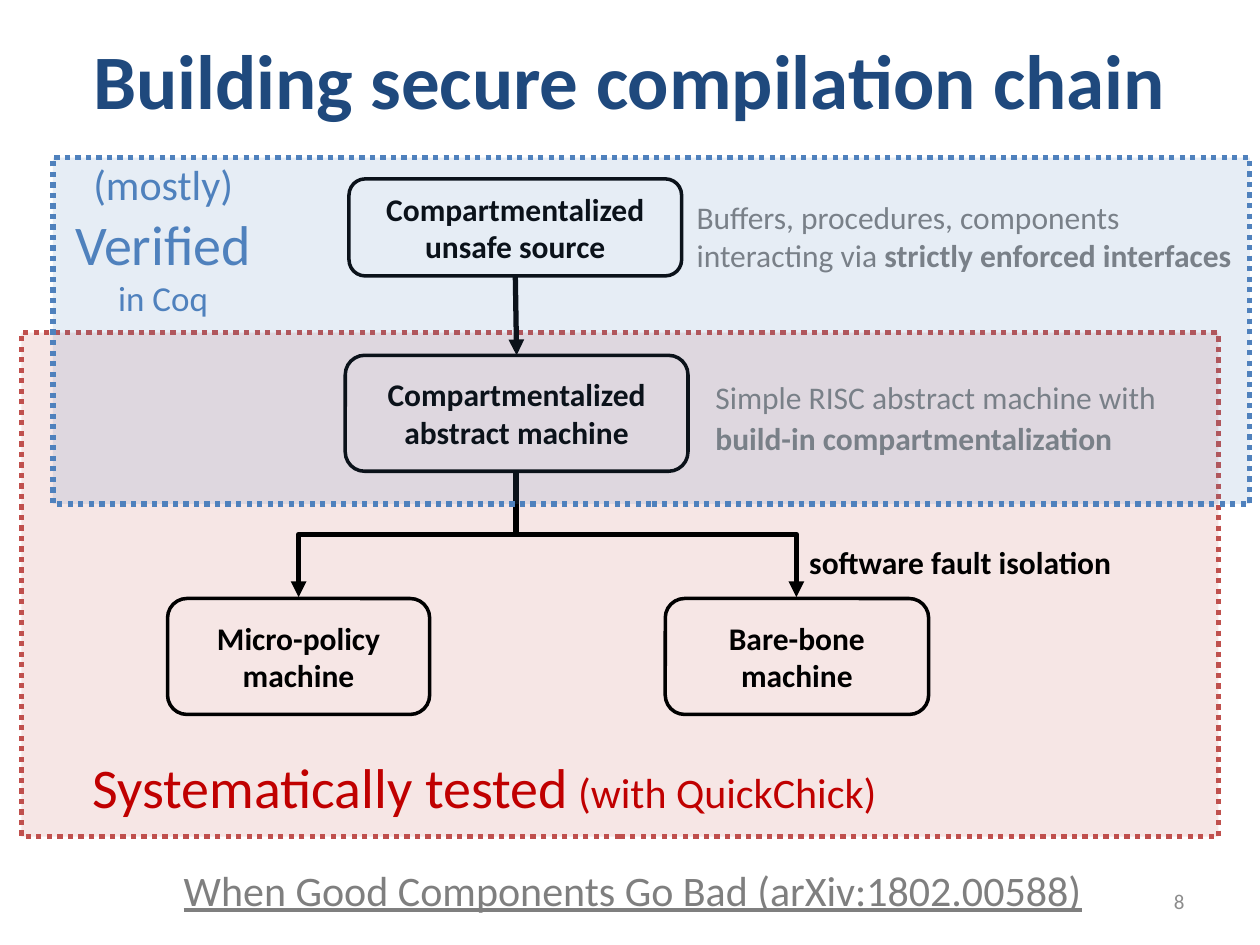
from dataclasses import dataclass

from lxml.etree import SubElement
from pptx import Presentation
from pptx.dml.color import RGBColor
from pptx.enum.dml import MSO_LINE
from pptx.enum.shapes import MSO_CONNECTOR, MSO_SHAPE
from pptx.enum.text import MSO_ANCHOR, PP_ALIGN
from pptx.oxml.ns import qn
from pptx.util import Pt

PX = 9144  # EMU per px, 100 px to the inch


@dataclass(frozen=True)
class Theme:
    font: str = "Calibri"
    black: str = "000000"
    blue: str = "4F81BD"
    red: str = "C0504D"
    navy: str = "1F497D"
    crimson: str = "C00000"
    gray: str = "808080"
    cite: str = "7F7F7F"
    pale: str = "8C8C8C"
    title: int = 44
    big: int = 32
    mid: int = 24
    sub: int = 20
    body: int = 18
    tiny: int = 12
    thin: int = 2
    thick: int = 3
    alpha: int = 14


T = Theme()
LEFT, CENTER, RIGHT = PP_ALIGN.LEFT, PP_ALIGN.CENTER, PP_ALIGN.RIGHT


@dataclass(frozen=True)
class Run:
    text: str
    size: int = T.body
    color: str = T.black
    bold: bool = False
    under: bool = False


@dataclass(frozen=True)
class Rect:
    x: int
    y: int
    w: int
    h: int

    @property
    def top(self) -> tuple[int, int]:
        return self.x + self.w // 2, self.y

    @property
    def base(self) -> tuple[int, int]:
        return self.x + self.w // 2, self.y + self.h

    def emu(self) -> tuple[int, ...]:
        return tuple(v * PX for v in (self.x, self.y, self.w, self.h))


@dataclass(frozen=True)
class Box:
    rect: Rect
    lines: tuple[str, ...]


@dataclass(frozen=True)
class Note:
    rect: Rect
    paras: tuple[tuple[Run, ...], ...]
    align: PP_ALIGN = LEFT
    wrap: bool = True
    middle: bool = False
    space: float = 1.0


def rgb(code: str) -> RGBColor:
    return RGBColor.from_string(code)


def write(frame, paras, align, space=1.0) -> None:
    for i, runs in enumerate(paras):
        para = frame.paragraphs[0] if i == 0 else frame.add_paragraph()
        para.alignment = align
        para.line_spacing = space
        for item in runs:
            run = para.add_run()
            run.text = item.text
            font = run.font
            font.name, font.size = T.font, Pt(item.size)
            font.bold, font.underline = item.bold, item.under
            font.color.rgb = rgb(item.color)


def zone(slide, rect: Rect, color: str) -> None:
    shape = slide.shapes.add_shape(MSO_SHAPE.RECTANGLE, *rect.emu())
    shape.shadow.inherit = False
    shape.fill.solid()
    shape.fill.fore_color.rgb = rgb(color)
    tint = shape.fill._xPr.find(qn("a:solidFill"))[0]
    SubElement(tint, qn("a:alpha"), val=str(T.alpha * 1000))
    shape.line.color.rgb = rgb(color)
    shape.line.width = Pt(T.thick)
    shape.line.dash_style = MSO_LINE.ROUND_DOT


def node(slide, box: Box) -> None:
    shape = slide.shapes.add_shape(MSO_SHAPE.ROUNDED_RECTANGLE, *box.rect.emu())
    shape.shadow.inherit = False
    shape.fill.background()
    shape.line.color.rgb = rgb(T.black)
    shape.line.width = Pt(T.thin)
    shape.text_frame.vertical_anchor = MSO_ANCHOR.MIDDLE
    write(shape.text_frame, [(Run(s, bold=True),) for s in box.lines], CENTER)


def label(slide, note: Note) -> None:
    frame = slide.shapes.add_textbox(*note.rect.emu()).text_frame
    frame.word_wrap = note.wrap
    frame.vertical_anchor = MSO_ANCHOR.MIDDLE if note.middle else MSO_ANCHOR.TOP
    write(frame, note.paras, note.align, note.space)


def arrow(slide, kind, start: tuple[int, int], end: tuple[int, int]):
    ends = [v * PX for v in (*start, *end)]
    line = slide.shapes.add_connector(kind, *ends)
    line.line.color.rgb = rgb(T.black)
    line.line.width = Pt(T.thick)
    SubElement(line.line._get_or_add_ln(), qn("a:tailEnd"), type="triangle")
    SubElement(line._element.spPr, qn("a:effectLst"))
    return line


def branch(slide, start: tuple[int, int], end: tuple[int, int]) -> None:
    # An elbow runs sideways first, so lay it flat and turn it to run down
    (ax, ay), (bx, by) = start, end
    cx, cy = (ax + bx) // 2, (ay + by) // 2
    half, rise = (by - ay) // 2, abs(bx - ax) // 2
    side = 1 if bx < ax else -1
    line = arrow(slide, MSO_CONNECTOR.ELBOW,
                 (cx - side * half, cy - rise), (cx + side * half, cy + rise))
    turn = 90 if side > 0 else 270
    line._element.spPr.find(qn("a:xfrm")).set("rot", str(turn * 60000))


# Parts of the chain
SOURCE = Box(Rect(277, 142, 264, 77), ("Compartmentalized unsafe source",))
ABSTRACT = Box(Rect(274, 282, 272, 92), ("Compartmentalized abstract machine",))
MICRO = Box(Rect(133, 475, 208, 92), ("Micro-policy machine",))
BARE = Box(Rect(528, 475, 209, 92), ("Bare-bone", "machine"))

NOTES = (
    Note(Rect(543, 152, 449, 71), (
        (Run("Buffers, procedures, components", color=T.gray),),
        (Run("interacting via ", color=T.gray),
         Run("strictly enforced interfaces", color=T.gray, bold=True))), wrap=False),
    Note(Rect(558, 292, 374, 77), (
        (Run("Simple RISC abstract machine with", color=T.gray),),
        (Run("build-in compartmentalization", color=T.gray, bold=True),)),
        wrap=False, space=1.1),
    Note(Rect(629, 426, 263, 40), ((Run("software fault isolation", bold=True),),),
         RIGHT, wrap=False),
)

CAPTIONS = (
    Note(Rect(42, 121, 175, 138), (
        (Run("(mostly)", T.mid, T.blue),),
        (Run("Verified", T.big, T.blue),),
        (Run("in Coq", T.sub, T.blue),)), CENTER),
    Note(Rect(58, 592, 653, 64), (
        (Run("Systematically tested", T.big, T.crimson),
         Run(" (with QuickChick)", T.mid, T.crimson)),), CENTER),
    Note(Rect(50, 0, 900, 125), (
        (Run("Building secure compilation chain", T.title, T.navy, bold=True),),),
        CENTER, middle=True),
    Note(Rect(717, 695, 233, 40), ((Run("8", T.tiny, T.pale),),), RIGHT, middle=True),
    Note(Rect(136, 681, 739, 50), (
        (Run("When Good Components Go Bad (arXiv:1802.00588)", T.mid, T.cite,
             under=True),),)),
)


def main() -> None:
    deck = Presentation()
    deck.slide_width, deck.slide_height = 1000 * PX, 750 * PX
    slide = deck.slides.add_slide(deck.slide_layouts[6])

    # Tested zone, boxes and arrows
    zone(slide, Rect(17, 264, 950, 400), T.red)
    for box in (SOURCE, ABSTRACT, MICRO, BARE):
        node(slide, box)
    arrow(slide, MSO_CONNECTOR.STRAIGHT, SOURCE.rect.base, ABSTRACT.rect.top)
    for box in (MICRO, BARE):
        branch(slide, ABSTRACT.rect.base, box.rect.top)

    # The verified zone tints the notes below it; captions stay on top
    for note in NOTES:
        label(slide, note)
    zone(slide, Rect(42, 125, 950, 275), T.blue)
    for note in CAPTIONS:
        label(slide, note)
    deck.save("out.pptx")


if __name__ == "__main__":
    main()
